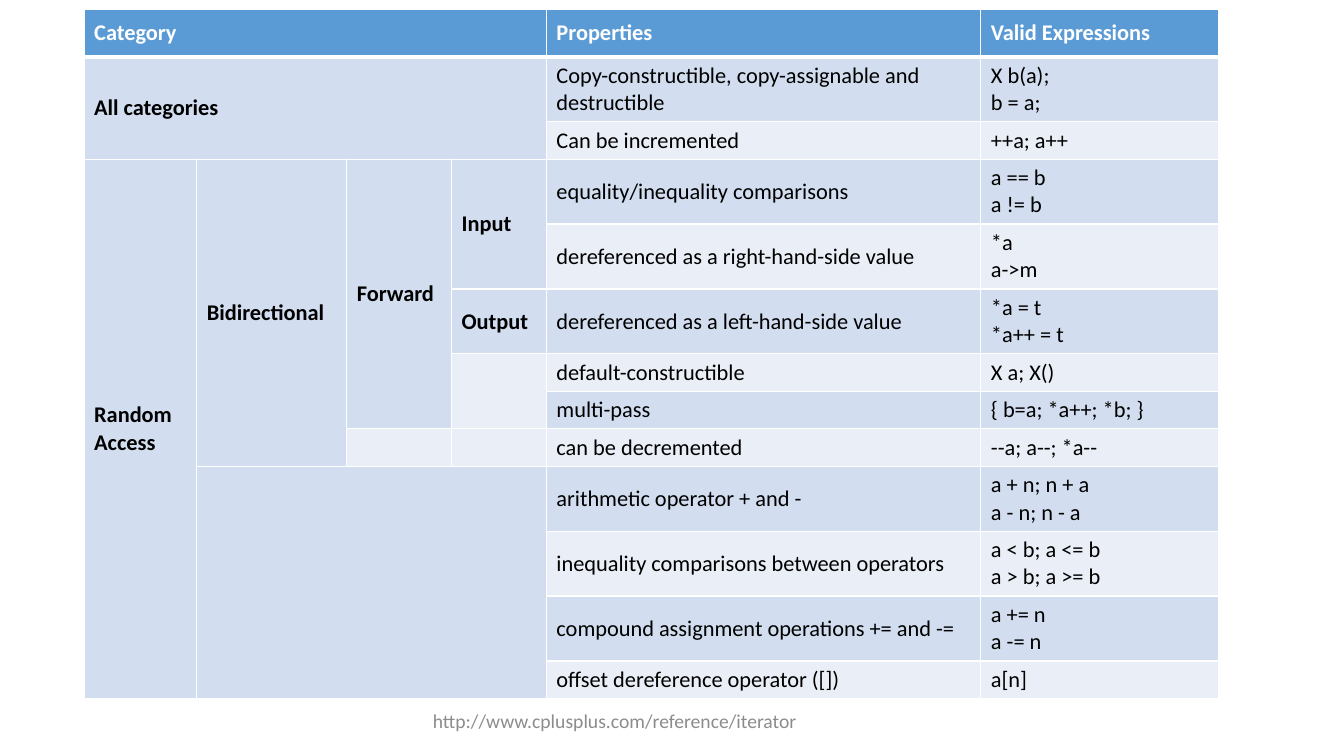
from dataclasses import dataclass

from lxml.etree import SubElement
from pptx import Presentation
from pptx.dml.color import RGBColor
from pptx.enum.text import MSO_ANCHOR, PP_ALIGN
from pptx.oxml.ns import qn
from pptx.util import Cm, Pt


@dataclass(frozen=True)
class Theme:
    """Colours, font and type sizes."""
    font: str = "Calibri"
    head: str = "5B9BD5"
    odd: str = "D2DEEF"
    even: str = "EAEFF7"
    white: str = "FFFFFF"
    black: str = "000000"
    grey: str = "8C8C8C"
    body: int = 16
    foot: int = 14
    thin: int = 1
    thick: int = 3


WIDTHS = [2.84, 3.78, 2.64, 2.39, 10.95, 5.99]
HEAD, ONE, TWO = 1.19, 0.86, 1.52
FACTS = [
    ("Properties", "Valid Expressions"),
    ("Copy-constructible, copy-assignable and destructible", "X b(a);\nb = a;"),
    ("Can be incremented", "++a; a++"),
    ("equality/inequality comparisons", "a == b\na != b"),
    ("dereferenced as a right-hand-side value", "*a\na->m"),
    ("dereferenced as a left-hand-side value", "*a = t\n*a++ = t"),
    ("default-constructible", "X a; X()"),
    ("multi-pass", "{ b=a; *a++; *b; }"),
    ("can be decremented", "--a; a--; *a--"),
    ("arithmetic operator + and -", "a + n; n + a\na - n; n - a"),
    ("inequality comparisons between operators", "a < b; a <= b\na > b; a >= b"),
    ("compound assignment operations += and -=", "a += n\na -= n"),
    ("offset dereference operator ([])", "a[n]"),
]
KINDS = {
    (0, 0): "Category", (1, 0): "All categories", (3, 0): "Random Access",
    (3, 1): "Bidirectional", (3, 2): "Forward", (3, 3): "Input", (5, 3): "Output",
}
SPANS = [
    (0, 0, 0, 3), (1, 0, 2, 3), (3, 0, 12, 0), (3, 1, 8, 1),
    (3, 2, 7, 2), (3, 3, 4, 3), (6, 3, 7, 3), (9, 1, 12, 3),
]


class Page:
    """Draws styled elements on one slide."""

    def __init__(self, slide, theme):
        self.slide = slide
        self.theme = theme

    def label(self, frame, text, size, color, bold=False, align=None):
        """Fill a text frame and format its runs."""
        frame.text = text
        for para in frame.paragraphs:
            para.alignment = align
            for run in para.runs:
                font = run.font
                font.name, font.size, font.bold = self.theme.font, Pt(size), bold
                font.color.rgb = RGBColor.from_string(color)
            if not para.runs:
                SubElement(para._p, qn("a:endParaRPr"), sz=str(size * 100))

    def edge(self, cell, side, width):
        """Add a white border to one side of a cell."""
        props = cell._tc.get_or_add_tcPr()
        line = SubElement(props, qn(f"a:ln{side}"), w=str(Pt(width)))
        fill = SubElement(line, qn("a:solidFill"))
        SubElement(fill, qn("a:srgbClr"), val=self.theme.white)

    def cell(self, cell, row, col, text):
        """Style one cell by its place in the table."""
        look = self.theme
        top = row == 0
        for side in "LRTB":
            self.edge(cell, side, look.thick if top and side == "B" else look.thin)
        shade = look.head if top else look.odd if row % 2 else look.even
        cell.fill.solid()
        cell.fill.fore_color.rgb = RGBColor.from_string(shade)
        cell.vertical_anchor = MSO_ANCHOR.MIDDLE
        color = look.white if top else look.black
        self.label(cell.text_frame, text, look.body, color, top or col < 4)

    def table(self, left, top, widths, facts, kinds, spans):
        """Draw the table of nested categories and their facts."""
        high = [HEAD] + [TWO if "\n" in code else ONE for _, code in facts[1:]]
        grid = self.slide.shapes.add_table(
            len(facts), len(widths), Cm(left), Cm(top), Cm(sum(widths)), Cm(sum(high))
        ).table
        for column, width in zip(grid.columns, widths):
            column.width = Cm(width)
        for row, fact in enumerate(facts):
            grid.rows[row].height = Cm(high[row])
            names = [kinds.get((row, col), "") for col in range(4)]
            for col, text in enumerate([*names, *fact]):
                self.cell(grid.cell(row, col), row, col, text)
        for row, col, last, end in spans:
            grid.cell(row, col).merge(grid.cell(last, end))

    def footer(self, text, left, top, width, height):
        """Draw a centred line of small text."""
        box = self.slide.shapes.add_textbox(Cm(left), Cm(top), Cm(width), Cm(height))
        frame = box.text_frame
        frame.word_wrap = True
        frame.vertical_anchor = MSO_ANCHOR.MIDDLE
        self.label(frame, text, self.theme.foot, self.theme.grey, align=PP_ALIGN.CENTER)


def main():
    """Build and save the slide."""
    deck = Presentation()
    deck.slide_width, deck.slide_height = Cm(33.87), Cm(19.05)
    page = Page(deck.slides.add_slide(deck.slide_layouts[6]), Theme())
    page.table(2.12, 0.24, WIDTHS, FACTS, KINDS, SPANS)
    page.footer("http://www.cplusplus.com/reference/iterator", 8.36, 17.65, 14.27, 1.02)
    deck.save("out.pptx")


if __name__ == "__main__":
    main()
